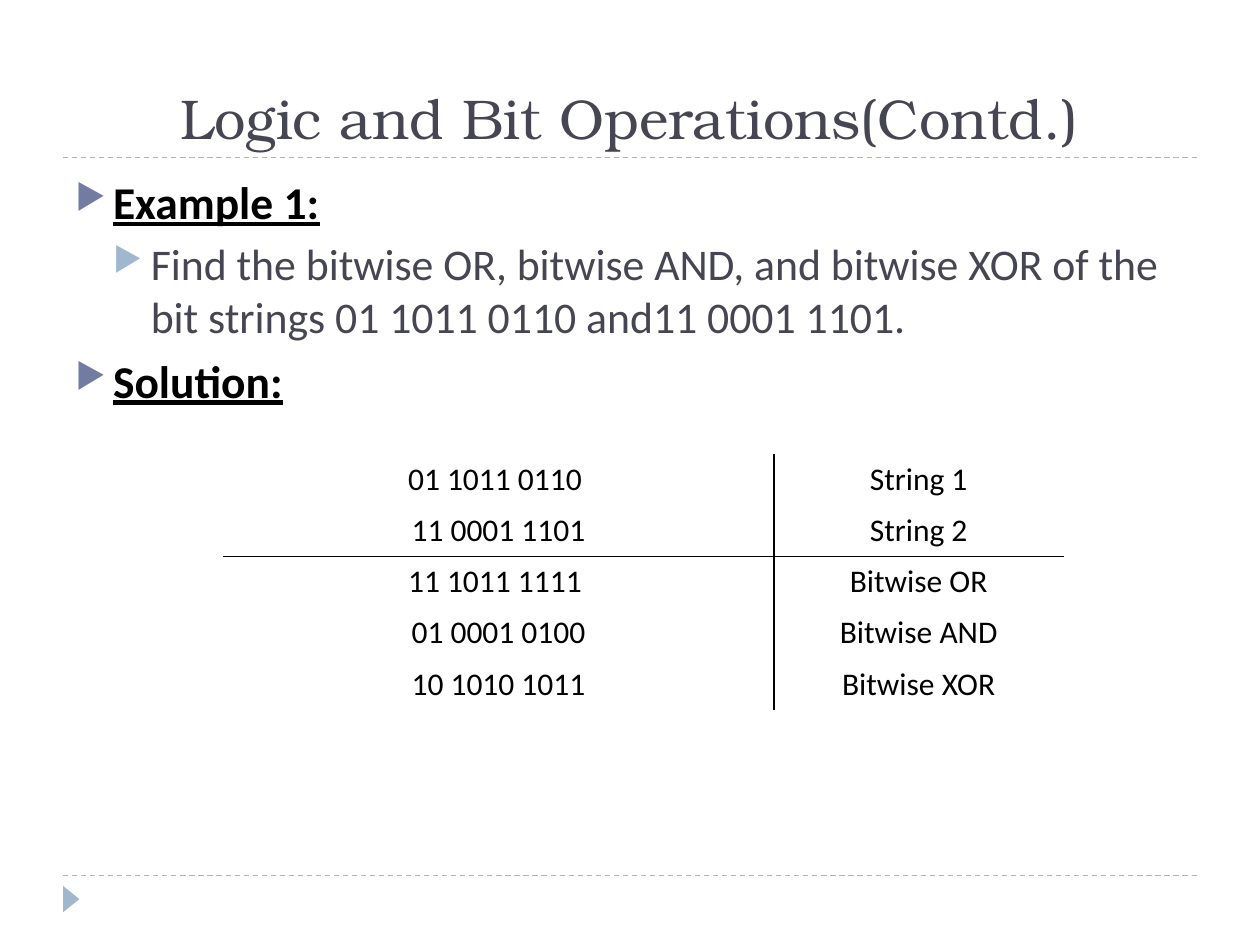
"""Build the slide on bitwise operations with its worked example."""
import pptx
import pptx.dml.color
import pptx.enum.dml
import pptx.enum.shapes
import pptx.enum.text
import pptx.oxml
import pptx.oxml.ns
import pptx.util

Cm = pptx.util.Cm
Pt = pptx.util.Pt
ALIGN = pptx.enum.text.PP_ALIGN
DRAWING = pptx.oxml.ns.nsdecls("a")


def colour(value):
    return pptx.dml.color.RGBColor.from_string(value)


def drawing_xml(markup):
    tag, rest = markup[1:].split(maxsplit=1) if " " in markup else (markup[1:-2], "/>")
    return pptx.oxml.parse_xml(f"<{tag} {DRAWING} {rest}")


def write(paragraph, text, size=18, ink="000000", font="Calibri",
          align=ALIGN.LEFT, strong=False, before=0):
    paragraph.alignment = align
    paragraph.space_before = Pt(before)
    run = paragraph.add_run()
    run.text = text
    run.font.size = Pt(size)
    run.font.name = font
    run.font.color.rgb = colour(ink)
    run.font.bold = run.font.underline = strong


class LectureSlide:
    ink = "464653"
    pale = "9FB8CD"
    accent = "727CA3"
    black = "000000"
    left, width = 1.27, 22.86

    def __init__(self, deck):
        self.slide = deck.slides.add_slide(deck.slide_layouts[6])

    def rule(self, y):
        rule = self.slide.shapes.add_connector(
            pptx.enum.shapes.MSO_CONNECTOR.STRAIGHT,
            Cm(self.left), Cm(y), Cm(self.left + self.width), Cm(y))
        rule.line.color.rgb = colour(self.pale)
        rule.line.width = Pt(0.75)
        rule.line.dash_style = pptx.enum.dml.MSO_LINE.DASH
        rule._element.spPr.append(drawing_xml("<a:effectLst/>"))

    def corner_marker(self, x, y, width, height):
        marker = self.slide.shapes.add_shape(
            pptx.enum.shapes.MSO_SHAPE.ISOSCELES_TRIANGLE,
            Cm(x), Cm(y), Cm(width), Cm(height))
        marker.rotation = 90
        marker.shadow.inherit = False
        marker.fill.solid()
        marker.fill.fore_color.rgb = colour(self.pale)
        marker.line.fill.background()

    def frame(self, top, height):
        frame = self.slide.shapes.add_textbox(
            Cm(self.left), Cm(top), Cm(self.width), Cm(height)).text_frame
        frame.word_wrap = True
        return frame

    def title(self, text, top, height):
        frame = self.frame(top, height)
        frame.vertical_anchor = pptx.enum.text.MSO_ANCHOR.BOTTOM
        write(frame.paragraphs[0], text, size=32, ink=self.ink,
              font="TeX Gyre Bonum", align=ALIGN.CENTER)

    def outline(self, items, top, height):
        frame = self.frame(top, height)
        for index, (level, text) in enumerate(items):
            paragraph = frame.add_paragraph() if index else frame.paragraphs[0]
            paragraph.level = level
            properties = paragraph._p.get_or_add_pPr()
            properties.set("marL", str(Cm(0.76 * (level + 1))))
            properties.set("indent", str(-Cm(0.76)))
            bullet = self.pale if level else self.accent
            for markup in (
                    f'<a:buClr ><a:srgbClr val="{bullet}"/></a:buClr>',
                    '<a:buSzPct val="76000"/>',
                    '<a:buChar char="▶"/>'):
                properties.append(drawing_xml(markup))
            write(paragraph, text, size=26 - level,
                  ink=self.ink if level else self.black, strong=level == 0,
                  before=6 - level if index else 0)

    def borders(self, cell, drawn):
        properties = cell._tc.get_or_add_tcPr()
        for place, side in enumerate("LRTB"):
            paint = (f'<a:solidFill><a:srgbClr val="{self.black}"/></a:solidFill>'
                     if side in drawn else "<a:noFill/>")
            properties.insert(place, drawing_xml(
                f'<a:ln{side} w="{Pt(1)}">{paint}</a:ln{side}>'))

    def bit_table(self, rows, x, y, widths, row_height, sum_row):
        table = self.slide.shapes.add_table(
            len(rows), len(widths), Cm(x), Cm(y),
            Cm(sum(widths)), Cm(row_height * len(rows))).table
        table.first_row = table.horz_banding = False
        for column, width in zip(table.columns, widths):
            column.width = Cm(width)
        for r, row in enumerate(rows):
            table.rows[r].height = Cm(row_height)
            for c, text in enumerate(row):
                cell = table.cell(r, c)
                cell.fill.background()
                drawn = "RL"[c] if text else ""
                drawn += {sum_row: "B", sum_row + 1: "T"}.get(r, "")
                self.borders(cell, drawn)
                if text:
                    write(cell.text_frame.paragraphs[0], text, align=ALIGN.CENTER)


def main():
    deck = pptx.Presentation()
    deck.slide_width, deck.slide_height = Cm(25.4), Cm(19.05)
    lecture = LectureSlide(deck)
    for y in (17.65, 3.18):
        lecture.rule(y)
    lecture.corner_marker(1.17, 17.96, 0.53, 0.33)
    lecture.title("Logic and Bit Operations(Contd.)", 0.43, 2.74)
    lecture.outline([
        (0, "Example 1:"),
        (1, "Find the bitwise OR, bitwise AND, and bitwise XOR of the "
            "bit strings 01 1011 0110 and11 0001 1101."),
        (0, "Solution:"),
    ], 3.38, 13.72)
    lecture.bit_table([
        ("", ""),
        ("01 1011 0110 ", "String 1"),
        ("11 0001 1101", "String 2"),
        ("11 1011 1111 ", "Bitwise OR"),
        ("01 0001 0100", "Bitwise AND"),
        ("10 1010 1011", "Bitwise XOR"),
    ], 4.5, 8.13, (11.1, 5.84), 1.03, sum_row=2)
    deck.save("out.pptx")


if __name__ == "__main__":
    main()
